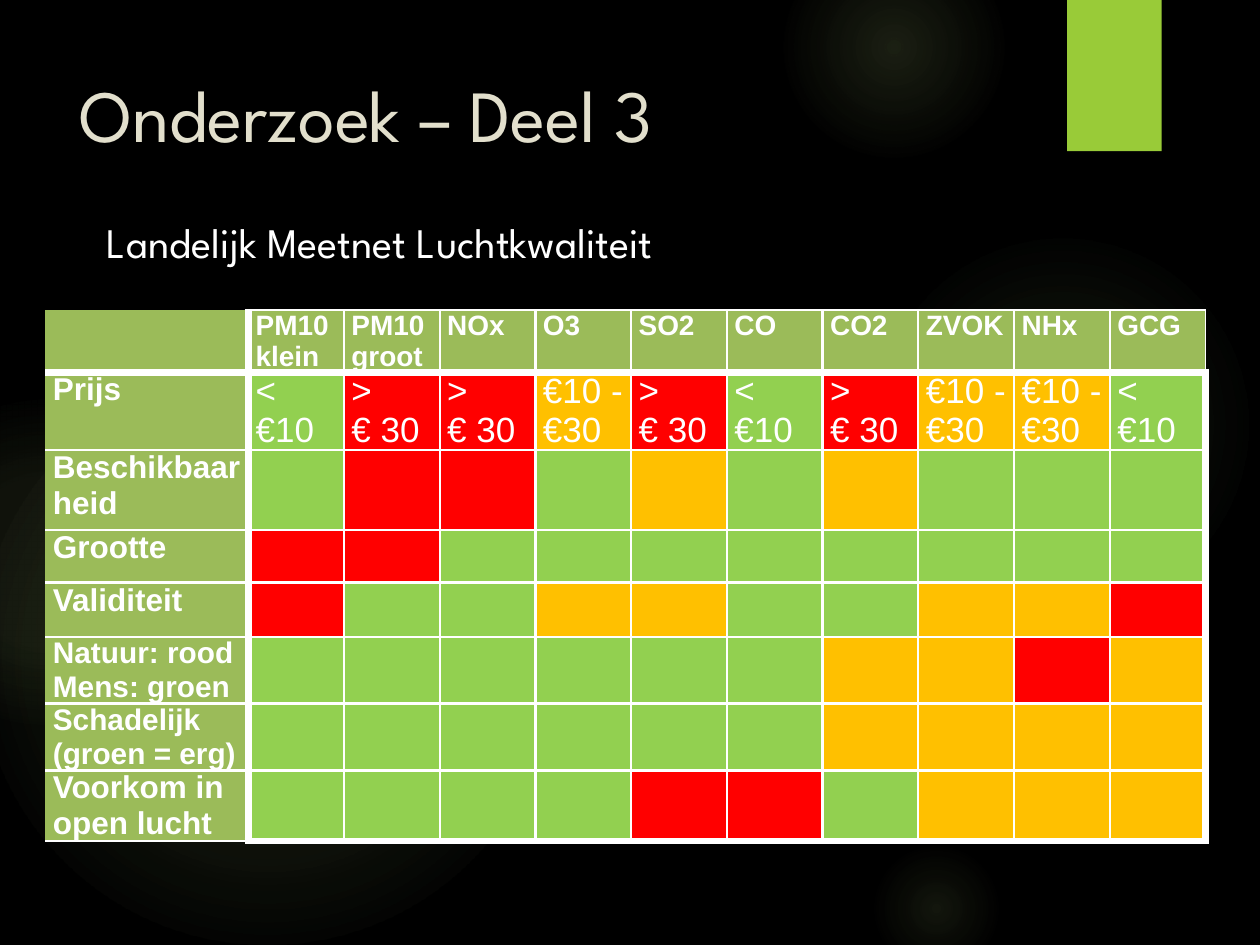
from dataclasses import dataclass

from lxml.etree import SubElement
from pptx import Presentation
from pptx.dml.color import RGBColor
from pptx.enum.shapes import MSO_SHAPE as Shape
from pptx.enum.text import MSO_ANCHOR as Anchor, MSO_AUTO_SIZE as AutoSize, PP_ALIGN as Align
from pptx.oxml import parse_xml
from pptx.oxml.ns import nsdecls, qn
from pptx.util import Inches, Pt


@dataclass(frozen=True)
class Theme:
    background: str = "000000"
    glow: str = "C2E088"
    accent: str = "99CB38"
    title: str = "E2DFCC"
    text: str = "FFFFFF"
    header: str = "9BBB59"
    good: str = "92D050"
    medium: str = "FFC000"
    bad: str = "FF0000"
    display_font: str = "League Spartan"
    table_font: str = "Arial"
    title_size: int = 42
    subtitle_size: int = 24
    column_size: int = 16
    row_size: int = 18
    tight_row_size: int = 17
    price_size: int = 20
    thin: float = 1
    normal: float = 1.5
    thick: float = 4.5


THEME = Theme()

# Left, top, diameter, then gradient stops as (position %, opacity %)
GLOWS = [
    (6.89, 1.83, 3.08, [(0, 7), (36, 6), (69, 0)]),
    (6.22, -0.5, 1.75, [(0, 14), (36, 7), (73, 0)]),
    (6.89, 6.67, 1.08, [(0, 10), (31, 5), (66, 0)]),
    (-0.17, 2.92, 4.58, [(0, 11), (36, 10), (75, 0)]),
    (-0.92, 3.17, 2.58, [(0, 8), (36, 8), (72, 0)]),
]

SUBSTANCES = ["PM10 klein", "PM10 groot", "NOx", "O3", "SO2", "CO", "CO2", "ZVOK", "NHx", "GCG"]
RATING_FILLS = {"G": THEME.good, "O": THEME.medium, "R": THEME.bad}
PRICES = {"G": "< €10", "O": "€10 - €30", "R": ">\n€ 30"}

# Criterion, row height, label size, one rating for each substance
CRITERIA = [
    ("Prijs", 0.5, THEME.row_size, "GRRORGROOG"),
    ("Beschikbaarheid", 0.63, THEME.row_size, "GRRGOGOGGG"),
    ("Grootte", 0.42, THEME.row_size, "RRGGGGGGGG"),
    ("Validiteit", 0.43, THEME.row_size, "RGGOOGGOOR"),
    ("Natuur: rood\nMens: groen", 0.42, THEME.tight_row_size, "GGGGGGOORO"),
    ("Schadelijk (groen = erg)", 0.42, THEME.tight_row_size, "GGGGGGOOOO"),
    ("Voorkom in open lucht", 0.43, THEME.row_size, "GGGGRRGOOO"),
]
HEADER_HEIGHT = 0.43
LABEL_WIDTH, RATING_WIDTH = 1.61, 0.76


def write(frame, text, *, size, color=THEME.text, font=THEME.table_font, bold=False,
          align=Align.LEFT):
    """Fill a text frame, with one paragraph for each line of text."""
    frame.text = text
    for para in frame.paragraphs:
        para.alignment = align
        para.font.size = Pt(size)
        for span in para.runs:
            span.font.size = Pt(size)
            span.font.name = font
            span.font.bold = bold
            span.font.color.rgb = RGBColor.from_string(color)


def add_plain_shape(page, kind, left, top, width, height):
    shape = page.shapes.add_shape(kind, Inches(left), Inches(top), Inches(width), Inches(height))
    shape.shadow.inherit = False
    shape.line.fill.background()
    return shape


def add_glow(page, left, top, diameter, stops):
    """Add a circle that fades out from its centre."""
    circle = add_plain_shape(page, Shape.OVAL, left, top, diameter, diameter)
    circle.fill.background()
    stop_xml = "".join(
        f'<a:gs pos="{position * 1000}"><a:srgbClr val="{THEME.glow}">'
        f'<a:alpha val="{opacity * 1000}"/></a:srgbClr></a:gs>'
        for position, opacity in stops)
    gradient = parse_xml(
        f'<a:gradFill {nsdecls("a")} rotWithShape="1"><a:gsLst>{stop_xml}</a:gsLst>'
        '<a:path path="circle"><a:fillToRect l="50000" t="50000" r="50000" b="50000"/></a:path>'
        '</a:gradFill>')
    properties = circle.element.spPr
    properties.replace(properties.find(qn("a:noFill")), gradient)


def add_backdrop(page):
    page.background.fill.solid()
    page.background.fill.fore_color.rgb = RGBColor.from_string(THEME.background)
    for glow in GLOWS:
        add_glow(page, *glow)
    tab = add_plain_shape(page, Shape.RECTANGLE, 8.47, 0, 0.75, 1.2)
    tab.fill.solid()
    tab.fill.fore_color.rgb = RGBColor.from_string(THEME.accent)


def place_title(page, left, top, width, height):
    title = page.shapes.title
    page.shapes.element.append(title.element)  # in front of the backdrop
    title.left, title.top = Inches(left), Inches(top)
    title.width, title.height = Inches(width), Inches(height)
    frame = title.text_frame
    frame.vertical_anchor = Anchor.TOP
    frame.auto_size = AutoSize.NONE
    write(frame, "Onderzoek – Deel 3", size=THEME.title_size, color=THEME.title,
          font=THEME.display_font)


def add_subtitle(page, left, top, width, height):
    box = page.shapes.add_textbox(Inches(left), Inches(top), Inches(width), Inches(height))
    box.text_frame.word_wrap = True
    box.text_frame.auto_size = AutoSize.SHAPE_TO_FIT_TEXT
    write(box.text_frame, "Landelijk Meetnet Luchtkwaliteit", size=THEME.subtitle_size,
          font=THEME.display_font, align=Align.CENTER)


def border_widths(row, column):
    """Widths by side: thick around the ratings, thin or none on the outer label edges."""
    last_row, last_column = len(CRITERIA), len(SUBSTANCES)
    left = {0: 0, 1: THEME.thick}.get(column, THEME.normal)
    right = THEME.thick if column == 0 else THEME.normal
    if column == last_column:
        right = THEME.thick if row else THEME.thin
    top = {0: THEME.thin if column else 0, 1: THEME.thick}.get(row, THEME.normal)
    bottom = THEME.thick if row == 0 else THEME.normal
    if row == last_row:
        bottom = THEME.thick if column else THEME.thin
    return {"L": left, "R": right, "T": top, "B": bottom}


def set_borders(cell, widths):
    properties = cell._tc.get_or_add_tcPr()
    for index, (side, width) in enumerate(widths.items()):
        line = SubElement(properties, qn(f"a:ln{side}"), w=str(Pt(width)))
        if width:
            fill = SubElement(line, qn("a:solidFill"))
            SubElement(fill, qn("a:srgbClr"), val=THEME.text)
        else:
            SubElement(line, qn("a:noFill"))
        properties.insert(index, line)


def format_cell(table, row, column, text, fill, size, bold=True):
    cell = table.cell(row, column)
    cell.margin_left = cell.margin_right = Inches(0.06)
    cell.margin_top = cell.margin_bottom = 0
    cell.fill.solid()
    cell.fill.fore_color.rgb = RGBColor.from_string(fill)
    write(cell.text_frame, text, size=size, bold=bold)
    set_borders(cell, border_widths(row, column))


def add_ratings_table(page, left, top, width, height):
    holder = page.shapes.add_table(len(CRITERIA) + 1, len(SUBSTANCES) + 1, Inches(left),
                                   Inches(top), Inches(width), Inches(height))
    table = holder.table
    table.first_row = table.horz_banding = False
    for index, column in enumerate(table.columns):
        column.width = Inches(RATING_WIDTH if index else LABEL_WIDTH)
    heights = [HEADER_HEIGHT] + [criterion[1] for criterion in CRITERIA]
    for row, row_height in zip(table.rows, heights):
        row.height = Inches(row_height)
    holder.height = Inches(height)

    for column, heading in enumerate(["", *SUBSTANCES]):
        format_cell(table, 0, column, heading, THEME.header, THEME.column_size)
    for row, (label, _, size, ratings) in enumerate(CRITERIA, start=1):
        format_cell(table, row, 0, label, THEME.header, size)
        for column, rating in enumerate(ratings, start=1):
            is_price = row == 1
            format_cell(table, row, column, PRICES[rating] if is_price else "",
                        RATING_FILLS[rating], THEME.price_size if is_price else THEME.row_size,
                        bold=False)


def main():
    deck = Presentation()
    deck.slide_width, deck.slide_height = Inches(10), Inches(7.5)
    page = deck.slides.add_slide(deck.slide_layouts[5])
    add_backdrop(page)
    place_title(page, 0.53, 0.5, 7.72, 1.53)
    add_ratings_table(page, 0.36, 2.46, 9.17, 4.42)
    add_subtitle(page, -0.52, 1.67, 7.07, 0.5)
    deck.save("out.pptx")


if __name__ == "__main__":
    main()
